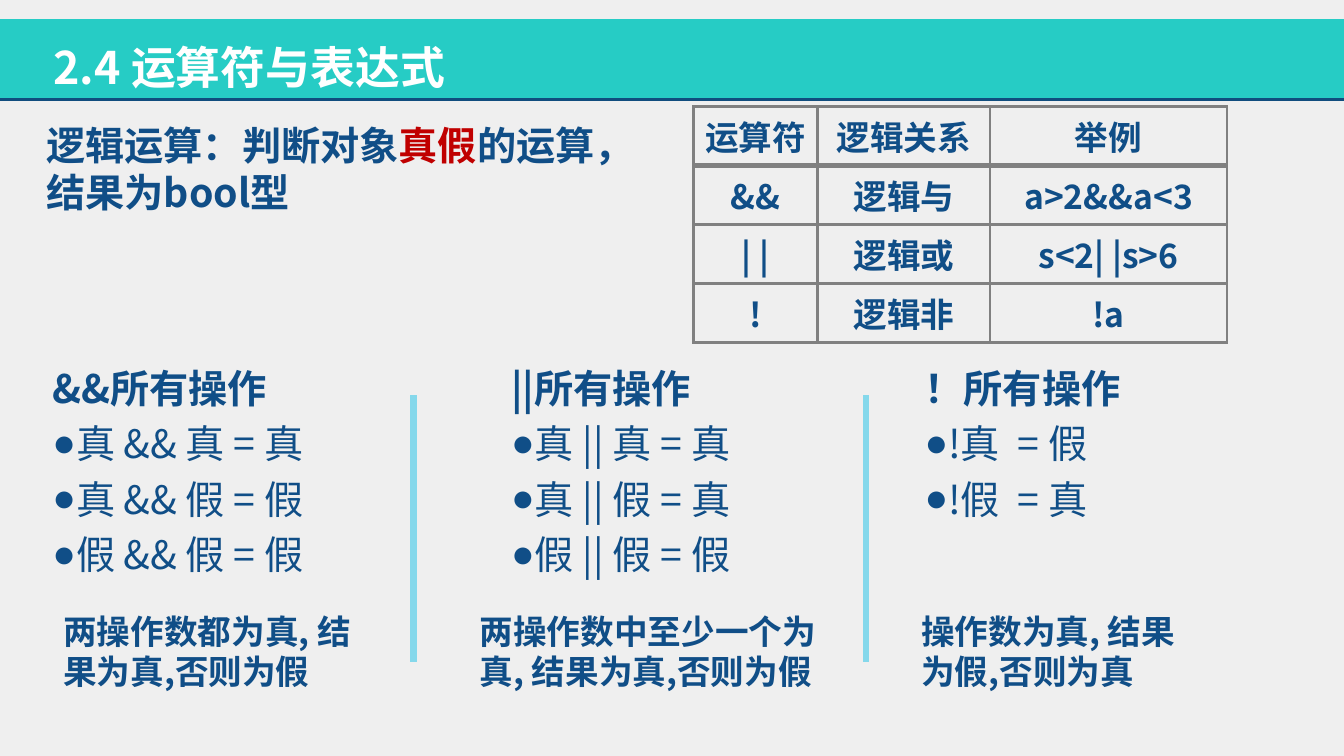
"""Builds the slide on logical operators and expressions."""
from lxml import etree
from pptx import Presentation
from pptx.dml.color import RGBColor
from pptx.enum.shapes import MSO_CONNECTOR, MSO_SHAPE
from pptx.enum.text import MSO_ANCHOR, MSO_AUTO_SIZE, PP_ALIGN
from pptx.oxml.ns import qn
from pptx.util import Inches, Pt

LEFT, CENTER = PP_ALIGN.LEFT, PP_ALIGN.CENTER
TOP, MIDDLE = MSO_ANCHOR.TOP, MSO_ANCHOR.MIDDLE
NO_FIT = MSO_AUTO_SIZE.NONE
RECT, STRAIGHT = MSO_SHAPE.RECTANGLE, MSO_CONNECTOR.STRAIGHT
COLORS = {"bg": "EFEFEF", "banner": "26CCC5", "rule": "104D7E", "white": "FFFFFF",
          "text": "104E87", "accent": "C00000", "grid": "808080", "divider": "85D8EB"}
TITLE_FONT, BODY_FONT = "Noto Sans CJK JP", "Noto Sans CJK SC"


def rgb(name):
    return RGBColor.from_string(COLORS[name])


class Deck:
    def __init__(self, prs, layout):
        self.s = prs.slides.add_slide(prs.slide_layouts[layout])
        fill = self.s.background.fill
        fill.solid()
        fill.fore_color.rgb = rgb("bg")

    def style(self, p, size, bold=True, color="text", font=BODY_FONT, align=LEFT, before=0):
        p.alignment, p.line_spacing = align, 1.0
        p.space_before, p.space_after = Pt(before), Pt(0)
        f = p.font
        f.name, f.size, f.bold = font, Pt(size), bold
        f.color.rgb = rgb(color)
        latin = p._p.pPr.find(qn("a:defRPr")).find(qn("a:latin"))
        ea = etree.Element(qn("a:ea"), typeface=font)
        latin.addnext(ea)

    def bullet(self, p, char=None):
        pPr = p._p.get_or_add_pPr()
        pPr.set("marL", "0")
        pPr.set("indent", str(-Inches(0.5) if char else 0))
        bu = etree.Element(qn("a:buChar"), char=char) if char else etree.Element(qn("a:buNone"))
        pPr.find(qn("a:defRPr")).addprevious(bu)

    def frame(self, sp, box, anchor=TOP):
        sp.left, sp.top, sp.width, sp.height = map(Inches, box)
        tf = sp.text_frame
        tf.word_wrap, tf.auto_size, tf.vertical_anchor = True, NO_FIT, anchor
        return tf

    def banner(self, box):
        sp = self.s.shapes.add_shape(RECT, *map(Inches, box))
        sp.shadow.inherit = False
        sp.fill.solid()
        sp.fill.fore_color.rgb = rgb("banner")
        sp.line.fill.background()
        self.s.shapes.title.element.addprevious(sp.element)

    def line(self, x1, y1, x2, y2, color, width):
        c = self.s.shapes.add_connector(STRAIGHT, *map(Inches, (x1, y1, x2, y2)))
        c.line.color.rgb, c.line.width = rgb(color), Pt(width)
        etree.SubElement(c._element.spPr, qn("a:effectLst"))

    def title(self, text, box):
        p = self.frame(self.s.shapes.title, box, MIDDLE).paragraphs[0]
        p.text = text
        self.style(p, 32, color="white", font=TITLE_FONT)

    def intro(self, idx, parts, box):
        p = self.frame(self.s.placeholders[idx], box).paragraphs[0]
        for text, color in parts:
            r = p.add_run()
            r.text = text
            r.font.color.rgb = rgb(color)
        self.style(p, 28)
        self.bullet(p)

    def rules(self, idx, heading, items, box):
        tf = self.frame(self.s.placeholders[idx], box)
        tf.text = "\n".join([heading, *items])
        for i, p in enumerate(tf.paragraphs):
            self.style(p, 28, bold=i == 0, before=6 if i else 12)
            self.bullet(p, "●" if i else None)

    def note(self, text, box):
        sp = self.s.shapes.add_textbox(*map(Inches, box))
        p = self.frame(sp, box).paragraphs[0]
        p.text = text
        self.style(p, 24)

    def border(self, cell, side, width):
        tcPr = cell._tc.get_or_add_tcPr()
        ln = etree.SubElement(tcPr, qn(f"a:ln{side}"), w=str(Pt(width)))
        fill = etree.SubElement(ln, qn("a:solidFill"))
        etree.SubElement(fill, qn("a:srgbClr"), val=COLORS["grid"])

    def table(self, rows, widths, heights, box):
        t = self.s.shapes.add_table(len(rows), len(widths), *map(Inches, box)).table
        t.first_row = t.horz_banding = False
        for col, w in zip(t.columns, widths):
            col.width = Inches(w)
        for i, (row, h) in enumerate(zip(rows, heights)):
            t.rows[i].height = Inches(h)
            for j, text in enumerate(row):
                cell = t.cell(i, j)
                p = cell.text_frame.paragraphs[0]
                p.text = text
                self.style(p, 24, align=CENTER, before=4.8)
                for side in "LRTB":
                    heavy = (i, side) in ((0, "B"), (1, "T"))
                    self.border(cell, side, 4.5 if heavy else 2.25)
                cell.fill.background()


prs = Presentation()
prs.slide_width, prs.slide_height = Inches(13.33), Inches(7.5)
deck = Deck(prs, 4)
deck.banner((0, 0.19, 13.33, 0.8))
deck.line(0, 0.99, 13.33, 0.99, "rule", 2)
deck.title("2.4 运算符与表达式", (0.43, 0.34, 6.68, 0.64))
deck.intro(1, [("逻辑运算：判断对象", "text"), ("真假", "accent"),
               ("的运算，结果为bool型", "text")], (0.36, 1.15, 6.07, 1.05))
deck.table([("运算符", "逻辑关系", "举例"), ("&&", "逻辑与", "a>2&&a<3"),
            ("| |", "逻辑或", "s<2| |s>6"), ("!", "逻辑非", "!a")],
           (1.23, 1.71, 2.35), (0.5, 0.57, 0.58, 0.51), (6.88, 1.06, 5.28, 2.17))

GROUPS = [
    (2, "&&所有操作", ["真 && 真 = 真", "真 && 假 = 假", "假 && 假 = 假"], (0.42, 3.32),
     "两操作数都为真, 结果为真,否则为假", (0.53, 3.32)),
    (3, "||所有操作", ["真 || 真 = 真", "真 || 假 = 真", "假 || 假 = 假"], (4.97, 3.65),
     "两操作数中至少一个为真, 结果为真,否则为假", (4.66, 3.65)),
    (4, "！所有操作", ["!真\u00a0 = 假", "!假\u00a0 = 真"], (9.07, 3.65),
     "操作数为真, 结果为假,否则为真", (9.04, 2.98)),
]
for idx, heading, items, (x, w), note, (note_x, note_w) in GROUPS:
    deck.rules(idx, heading, items, (x, 3.56, w, 2.24))
    deck.note(note, (note_x, 6.01, note_w, 0.91))
for x in (4.1, 8.59):
    deck.line(x, 3.92, x, 6.57, "divider", 4.5)
prs.save("out.pptx")
